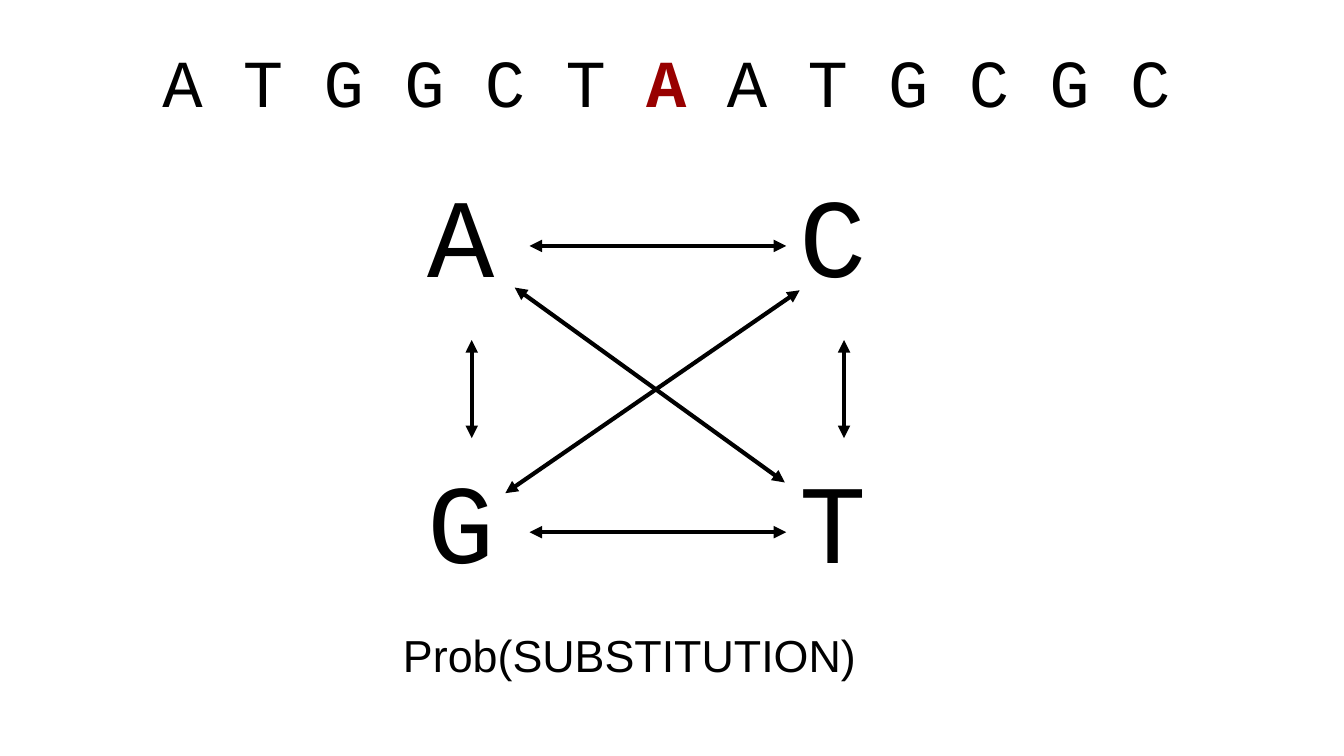
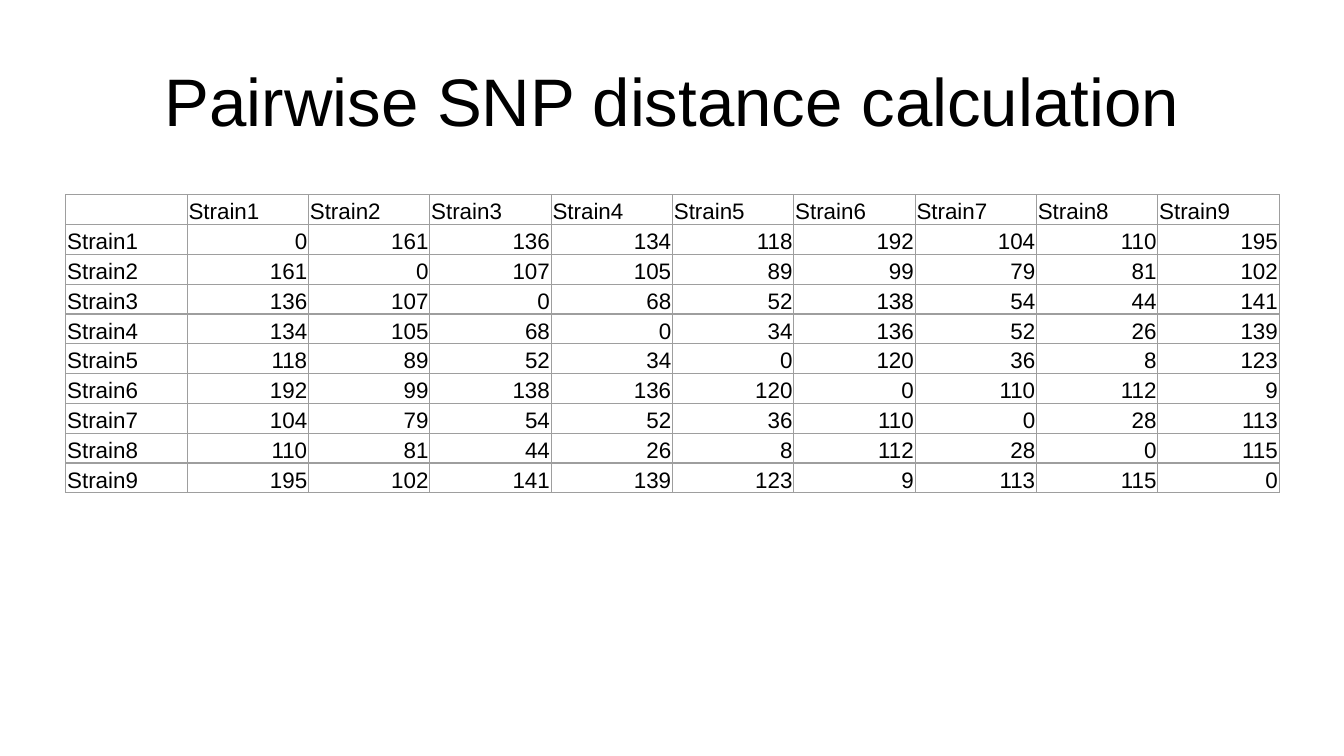
import pptx
import pptx.util
import pptx.dml.color
import pptx.enum.shapes
import pptx.enum.text
import pptx.oxml.ns
from lxml import etree

Inches = pptx.util.Inches
Pt = pptx.util.Pt
RGBColor = pptx.dml.color.RGBColor
ALIGN = pptx.enum.text.PP_ALIGN
ANCHOR = pptx.enum.text.MSO_ANCHOR
qn = pptx.oxml.ns.qn

BLACK = RGBColor(0x00, 0x00, 0x00)
WHITE = RGBColor(0xFF, 0xFF, 0xFF)
DARK_RED = RGBColor(0x98, 0x00, 0x00)
GRID_GREY = RGBColor(0x9E, 0x9E, 0x9E)
SANS, MONO = "Arial", "Courier New"
PAGE_WIDTH = 10
PAGE_HEIGHT = PAGE_WIDTH * 9 / 16

# Content: substitution slide
SEQUENCE = [("A T G G C T ", False), ("A", True), (" A T G C G C", False)]
CAPTION = "Prob(SUBSTITUTION)"
BASES = {"A": (3.08, 1.13), "C": (5.85, 1.13), "G": (3.08, 3.26), "T": (5.85, 3.26)}
BASE_SIZE = (0.86, 1.4)
TOP, LEFT, BOTTOM, RIGHT = range(4)
DIAGONALS = [(3.83, 2.14, 5.84, 3.59), (3.76, 3.67, 5.95, 2.16)]
SIDE_ARROWS = [
    ("A", RIGHT, "C", LEFT),
    ("G", RIGHT, "T", LEFT),
    ("G", TOP, "A", BOTTOM),
    ("T", TOP, "C", BOTTOM),
]

# Content: distance slide, each strain's distances to itself and the later ones
TITLE = "Pairwise SNP distance calculation"
DISTANCES = [
    [0, 161, 136, 134, 118, 192, 104, 110, 195],
    [0, 107, 105, 89, 99, 79, 81, 102],
    [0, 68, 52, 138, 54, 44, 141],
    [0, 34, 136, 52, 26, 139],
    [0, 120, 36, 8, 123],
    [0, 110, 112, 9],
    [0, 28, 113],
    [0, 115],
    [0],
]
TABLE_AT = (0.49, 1.45, 9.03, 2.22)


def style_span(span, size, font, color=BLACK, bold=False):
    span.font.size = Pt(size)
    span.font.name = font
    span.font.color.rgb = color
    span.font.bold = bold


def add_text(shapes, at, spans, size, font, align=ALIGN.LEFT, anchor=ANCHOR.TOP):
    """Add a text box; spans are (text, highlighted) pairs."""
    box = shapes.add_textbox(*map(Inches, at))
    frame = box.text_frame
    frame.word_wrap = True
    frame.vertical_anchor = anchor
    frame.margin_left = frame.margin_right = Inches(0.1)
    frame.margin_top = frame.margin_bottom = Inches(0.1)
    para = frame.paragraphs[0]
    para.alignment = align
    for text, highlighted in spans:
        span = para.add_run()
        span.text = text
        style_span(span, size, font, DARK_RED if highlighted else BLACK, highlighted)
    return box


def add_arrow(shapes, ends):
    """Add a straight line with an arrowhead at both ends."""
    arrow = shapes.add_connector(
        pptx.enum.shapes.MSO_CONNECTOR.STRAIGHT, *map(Inches, ends))
    arrow.line.color.rgb = BLACK
    arrow.line.width = Pt(2.25)
    outline = arrow.line._get_or_add_ln()
    for end in ("a:headEnd", "a:tailEnd"):
        etree.SubElement(outline, qn(end), type="triangle")
    etree.SubElement(arrow._element.spPr, qn("a:effectLst"))
    return arrow


def add_page(deck):
    page = deck.slides.add_slide(deck.slide_layouts[6])
    page.background.fill.solid()
    page.background.fill.fore_color.rgb = WHITE
    return page


def build_substitution_page(deck):
    page = add_page(deck)

    # Four bases and the arrows between them
    diagram = page.shapes.add_group_shape().shapes
    base_boxes = {
        base: add_text(diagram, corner + BASE_SIZE, [(base, False)], 60, MONO)
        for base, corner in BASES.items()
    }
    for ends in DIAGONALS:
        add_arrow(diagram, ends)
    for start, start_side, end, end_side in SIDE_ARROWS:
        arrow = add_arrow(diagram, BASES[start] + BASES[end])
        arrow.begin_connect(base_boxes[start], start_side)
        arrow.end_connect(base_boxes[end], end_side)

    # Sequence above, caption below
    add_text(page.shapes, (1.11, 0.2, 8.03, 0.94), SEQUENCE, 36, MONO)
    add_text(page.shapes, (2.9, 4.57, 3.98, 0.51), [(CAPTION, False)], 24, SANS)


def style_cell(cell, text, align):
    cell.fill.background()
    cell.vertical_anchor = ANCHOR.BOTTOM
    cell.margin_left = cell.margin_right = cell.margin_top = Inches(0.01)
    cell.margin_bottom = 0
    para = cell.text_frame.paragraphs[0]
    para.text = text
    para.alignment = align
    for span in para.runs:
        style_span(span, 12, SANS)
    if not text:
        etree.SubElement(para._p, qn("a:endParaRPr"), sz="1200")

    # Thin border on all four sides, placed ahead of the fill
    properties = cell._tc.get_or_add_tcPr()
    for index, side in enumerate(("a:lnL", "a:lnR", "a:lnT", "a:lnB")):
        border = etree.Element(qn(side), w=str(Pt(0.75)))
        fill = etree.SubElement(border, qn("a:solidFill"))
        etree.SubElement(fill, qn("a:srgbClr"), val=str(GRID_GREY))
        properties.insert(index, border)


def build_distance_page(deck):
    page = add_page(deck)
    add_text(page.shapes, (0.34, 0.28, 9.32, 0.92), [(TITLE, False)], 36, SANS,
             ALIGN.CENTER, ANCHOR.MIDDLE)

    # Mirror the distances into a full square with strain names on two sides
    count = len(DISTANCES)
    names = [f"Strain{number}" for number in range(1, count + 1)]
    rows = [[""] + names]
    for i, name in enumerate(names):
        rows.append([name] + [
            str(DISTANCES[min(i, j)][abs(i - j)]) for j in range(count)])

    size = count + 1
    table = page.shapes.add_table(size, size, *map(Inches, TABLE_AT)).table
    table.first_row = table.horz_banding = False
    for column in table.columns:
        column.width = Inches(TABLE_AT[2] / size)
    for row in table.rows:
        row.height = Inches(TABLE_AT[3] / size)
    for i, texts in enumerate(rows):
        for j, text in enumerate(texts):
            style_cell(table.cell(i, j), text, ALIGN.RIGHT if i and j else ALIGN.LEFT)


def main():
    deck = pptx.Presentation()
    deck.slide_width, deck.slide_height = Inches(PAGE_WIDTH), Inches(PAGE_HEIGHT)
    build_substitution_page(deck)
    build_distance_page(deck)
    deck.save("out.pptx")


if __name__ == "__main__":
    main()
